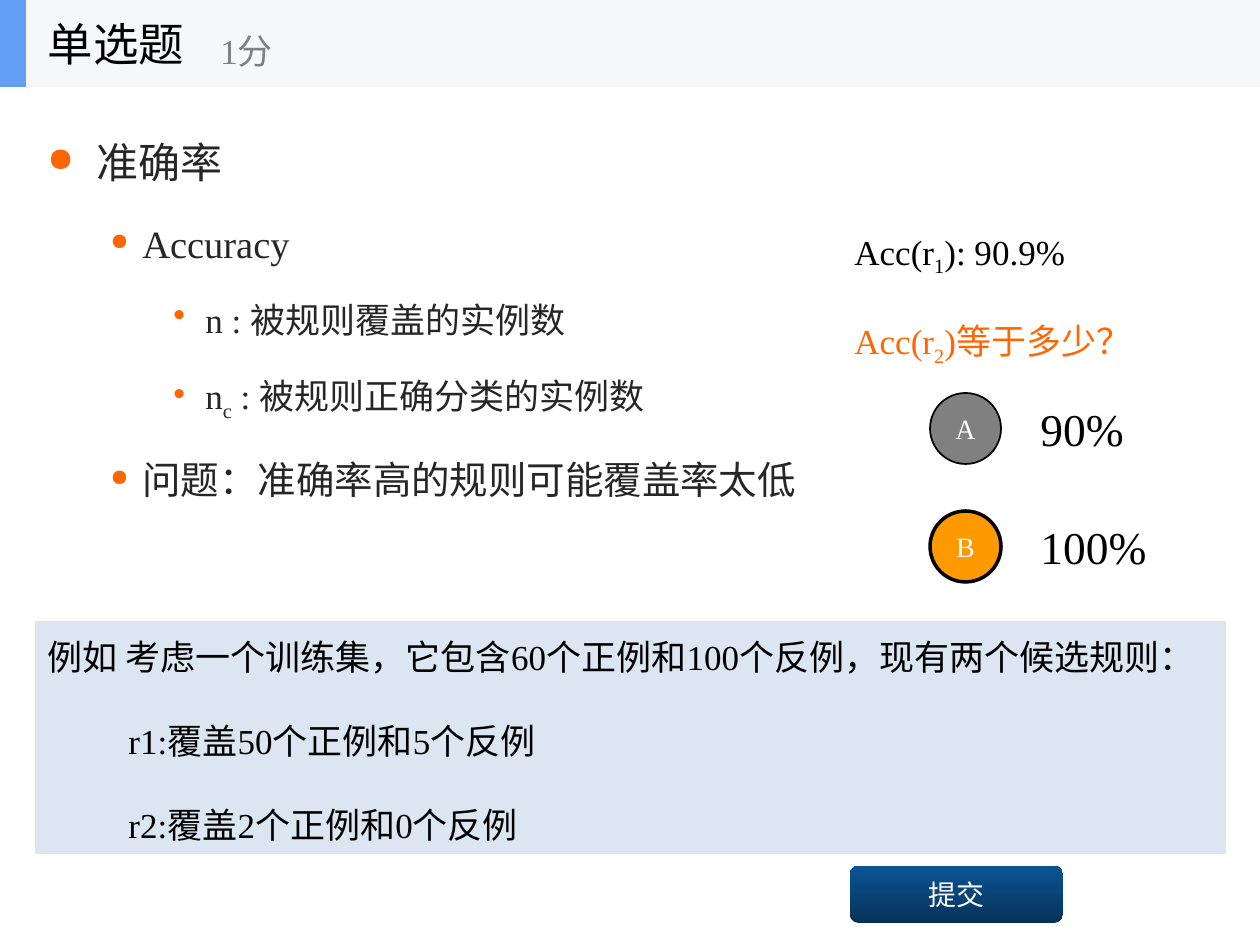
from lxml import etree
from pptx import Presentation
from pptx.dml.color import RGBColor
from pptx.enum.shapes import MSO_SHAPE
from pptx.enum.text import MSO_ANCHOR, PP_ALIGN
from pptx.oxml.ns import qn
from pptx.util import Emu, Pt

RECT, ROUND, OVAL = MSO_SHAPE.RECTANGLE, MSO_SHAPE.ROUNDED_RECTANGLE, MSO_SHAPE.OVAL
TOP, MIDDLE = MSO_ANCHOR.TOP, MSO_ANCHOR.MIDDLE
LEFT, CENTER = PP_ALIGN.LEFT, PP_ALIGN.CENTER
PX = 914400 / 126
FACE = "Times New Roman"
ORANGE = "FF6600"
color = RGBColor.from_string


def place(kind, *box):
    spot = [Emu(round(v * PX)) for v in box]
    if kind is None:
        return slide.shapes.add_textbox(*spot)
    shape = slide.shapes.add_shape(kind, *spot)
    shape.shadow.inherit = False
    shape.line.fill.background()
    return shape


def write(shape, rows, anchor=MIDDLE, align=LEFT):
    frame = shape.text_frame
    frame.word_wrap = True
    frame.vertical_anchor = anchor
    for i, (text, size, tint, look) in enumerate(rows):
        para = frame.paragraphs[0] if i == 0 else frame.add_paragraph()
        para.alignment = align
        para.level = look.get("level", 0)
        para.line_spacing = look.get("line", 1.0)
        para.space_before = Pt(look.get("gap", 0) if i else 0)
        props = para._p.get_or_add_pPr()
        props.set("marL", str(round(look.get("left", 0) * PX)))
        props.set("indent", str(round(look.get("hang", 0) * PX)))
        if "mark" in look:
            tone = etree.SubElement(props, qn("a:buClr"))
            etree.SubElement(tone, qn("a:srgbClr"), val=ORANGE)
            etree.SubElement(props, qn("a:buSzPct"), val=str(look["scale"] * 1000))
            etree.SubElement(props, qn("a:buChar"), char=look["mark"])
        para.font.name = FACE
        para.font.size = Pt(size)
        para.font.color.rgb = color(tint)
        for j, part in enumerate(text.split("_")):
            run = para.add_run()
            run.text = part
            if j == 1:
                run.font._element.set("baseline", "-25000")


deck = Presentation()
deck.slide_width, deck.slide_height = Emu(round(1260 * PX)), Emu(round(945 * PX))
slide = deck.slides.add_slide(deck.slide_layouts[5])

for wide, tint in ((1260, "F6F7F8"), (26, "639EF4")):
    bar = place(RECT, 0, 0, wide, 87)
    bar.fill.solid()
    bar.fill.fore_color.rgb = color(tint)

title = slide.shapes.title
title.left, title.top, title.width, title.height = [
    Emu(round(v * PX)) for v in (35, 0, 262, 87)]
slide.shapes._spTree.append(title._element)
write(title, [("单选题", 26, "000000", {})])
write(place(None, 208, 15, 315, 71), [("1分", 20, "808080", {})])

main = dict(line=1.5, left=49, hang=-49, mark="●", scale=80)
sub = dict(level=1, line=1.5, gap=6, left=95, hang=-32, mark="●", scale=60)
leaf = dict(level=2, line=1.5, gap=6, left=158, hang=-32, mark="•", scale=100)
points = [
    ("准确率", 24, main),
    ("Accuracy", 22, sub),
    ("n : 被规则覆盖的实例数", 20, leaf),
    ("n_c_ : 被规则正确分类的实例数", 20, leaf),
    ("问题：准确率高的规则可能覆盖率太低", 22, sub),
]
write(place(None, 35, 105, 1166, 391),
      [(text, size, "262626", look) for text, size, look in points], TOP)

case = place(RECT, 35, 621, 1191, 233)
case.fill.solid()
case.fill.fore_color.rgb = color("DCE6F2")
rule = dict(level=1, left=81, gap=24)
write(case, [
    ("例如 考虑一个训练集，它包含60个正例和100个反例，现有两个候选规则：", 20, "000000", dict(line=1.2)),
    ("r1:覆盖50个正例和5个反例", 20, "000000", rule),
    ("r2:覆盖2个正例和0个反例", 20, "000000", rule),
], TOP)

ask = dict(level=1, left=63, gap=24)
write(place(None, 779, 224, 670, 140), [
    ("Acc(r_1_): 90.9%", 20, "000000", ask),
    ("Acc(r_2_)等于多少？", 20, ORANGE, ask),
], TOP)

picks = [("A", "90%", "808080", 1), ("B", "100%", "FF9900", 2)]
for i, (name, text, tint, edge) in enumerate(picks):
    top = 393 + 118 * i
    disc = place(OVAL, 930, top, 71, 71)
    disc.fill.solid()
    disc.fill.fore_color.rgb = color(tint)
    disc.line.color.rgb = color("000000")
    disc.line.width = Pt(edge)
    write(disc, [(name, 16, "FFFFFF", {})], align=CENTER)
    write(place(None, 1028, top - 9, 882, 88), [(text, 26, "000000", {})])

send = place(ROUND, 850, 866, 213, 57)
send.adjustments[0] = 0.15
send.fill.gradient()
send.fill.gradient_angle = 90
for stop, tint in zip(send.fill.gradient_stops, ("063258", "0A5595")):
    stop.color.rgb = color(tint)
write(send, [("提交", 16, "FFFFFF", {})], align=CENTER)

deck.save("out.pptx")
